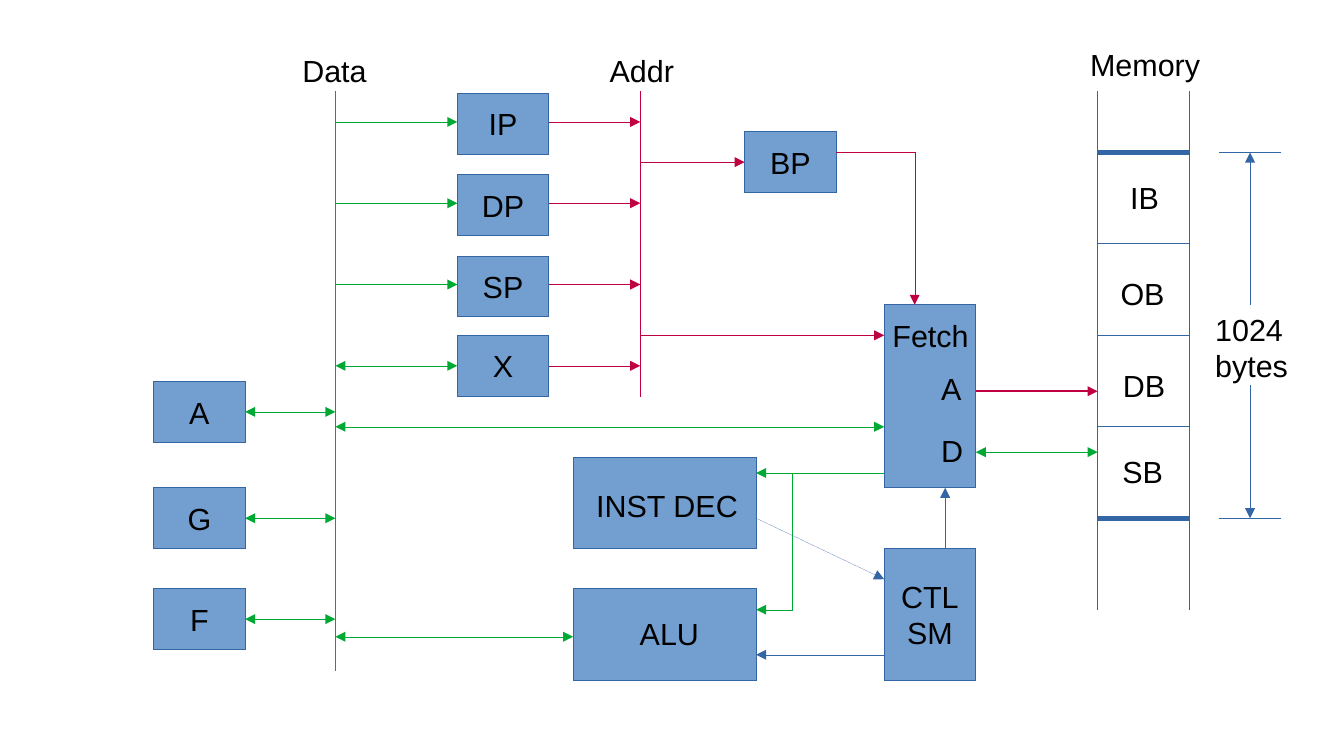
from pptx import Presentation
from pptx import util as u
from pptx.dml.color import RGBColor
from pptx.enum import shapes, text
from pptx.oxml.ns import qn
from lxml import etree

BLUE, GREEN, RED = "3465A4", "00A933", "BF0041"
FILL, BLACK = "729FCF", "000000"
DATA_X, ADDR_X = 198, 378
MEMORY_LEFT, MEMORY_RIGHT = 648, 702
FETCH_LEFT, FETCH_RIGHT = 522, 576
UNIT_LEFT, UNIT_RIGHT = 338.4, 446.4
REGISTER_WIDTH, REGISTER_HEIGHT = 54, 36


def color(hex_code):
    return RGBColor.from_string(hex_code)


def write(shape, words, align):
    shape.text_frame.text = words
    for para in shape.text_frame.paragraphs:
        para.alignment = align
        para.font.name = "Arial"
        para.font.size = u.Pt(18)
        para.font.color.rgb = color(BLACK)


def set_outline(shape, hex_code, width=0):
    """Set the line without the theme style, which would thicken a hairline."""
    shape.line.color.rgb = color(hex_code)
    shape.line.width = u.Pt(width)
    shape._element.remove(shape._element.find(qn("p:style")))


def add_box(page, left, top, width, height, words=""):
    box = page.shapes.add_shape(shapes.MSO_SHAPE.RECTANGLE, u.Pt(left), u.Pt(top),
                                u.Pt(width), u.Pt(height))
    box.shadow.inherit = False
    box.fill.solid()
    box.fill.fore_color.rgb = color(FILL)
    set_outline(box, BLUE)
    if words:
        box.text_frame.vertical_anchor = text.MSO_ANCHOR.MIDDLE
        write(box, words, text.PP_ALIGN.CENTER)


def add_register(page, left, top, name):
    add_box(page, left, top, REGISTER_WIDTH, REGISTER_HEIGHT, name)


def add_label(page, left, top, width, words, height=27.4):
    label = page.shapes.add_textbox(u.Pt(left), u.Pt(top), u.Pt(width), u.Pt(height))
    label.text_frame.word_wrap = False
    label.text_frame.auto_size = text.MSO_AUTO_SIZE.SHAPE_TO_FIT_TEXT
    write(label, words, text.PP_ALIGN.LEFT)


def add_line(page, x1, y1, x2, y2, hex_code, width=0, ends=()):
    """Draw a straight line; ends holds "headEnd" (start) and/or "tailEnd" (finish)."""
    line = page.shapes.add_connector(shapes.MSO_CONNECTOR.STRAIGHT, u.Pt(x1), u.Pt(y1),
                                     u.Pt(x2), u.Pt(y2))
    set_outline(line, hex_code, width)
    properties = line._element.spPr
    for end in ends:
        etree.SubElement(properties.find(qn("a:ln")), qn(f"a:{end}"), type="triangle")
    etree.SubElement(properties, qn("a:effectLst"))


def add_arrow(page, x1, y1, x2, y2, hex_code, width=0):
    add_line(page, x1, y1, x2, y2, hex_code, width, ["tailEnd"])


def add_double_arrow(page, x1, x2, y):
    add_line(page, x1, y, x2, y, GREEN, ends=["headEnd", "tailEnd"])


def draw_memory(page):
    for x in (MEMORY_LEFT, MEMORY_RIGHT):
        add_line(page, x, 54, x, 360, BLUE)
    edges = range(90, 307, 54)
    for y in edges:
        add_line(page, MEMORY_LEFT, y, MEMORY_RIGHT, y, BLUE,
                 2.89 if y in (edges[0], edges[-1]) else 0)
    for left, top, width, name in ((660.2, 102.2, 33, "IB"), (654.5, 159.1, 42, "OB"),
                                   (655.9, 213.1, 41, "DB"), (655.5, 264.2, 40, "SB")):
        add_label(page, left, top, width, name)
    add_label(page, 636.5, 23.8, 80, "Memory")

    for start, end in ((180, edges[0]), (227.5, edges[-1])):
        add_line(page, 720, end, 756, end, BLUE)
        add_arrow(page, 738, start, 738, end, BLUE)
    add_label(page, 710.3, 180, 58, "1024\nbytes", 47.5)


def draw_registers(page):
    add_line(page, DATA_X, 54, DATA_X, 396, GREEN)
    add_line(page, ADDR_X, 54, ADDR_X, 234, RED)
    add_label(page, 171.4, 27.4, 53, "Data")
    add_label(page, 352.8, 27.4, 53, "Addr")

    pointer_left = 270
    for row, (name, top) in enumerate((("IP", 55), ("DP", 103), ("SP", 151.2), ("X", 198))):
        y = 72 + 48 * row
        add_register(page, pointer_left, top, name)
        add_arrow(page, pointer_left + REGISTER_WIDTH, y, ADDR_X, y, RED)
        if name == "X":
            add_double_arrow(page, DATA_X, pointer_left, y)
        else:
            add_arrow(page, DATA_X, y, pointer_left, y, GREEN)

    data_left = 90.72
    for name, top in (("A", 225.2), ("G", 288), ("F", 347.6)):
        add_register(page, data_left, top, name)
        add_double_arrow(page, data_left + REGISTER_WIDTH, DATA_X, top + REGISTER_HEIGHT / 2)


def draw_fetch(page):
    add_box(page, FETCH_LEFT, 180, 54, 108)
    add_label(page, 519.8, 183.6, 62, "Fetch")
    add_label(page, 548.6, 215, 27, "A")
    add_label(page, 548.6, 251.8, 28, "D")
    add_arrow(page, FETCH_RIGHT, 231, MEMORY_LEFT, 231, RED, 1.45)
    add_double_arrow(page, FETCH_RIGHT, MEMORY_LEFT, 267)
    add_double_arrow(page, DATA_X, FETCH_LEFT, 252)
    add_arrow(page, ADDR_X, 198, FETCH_LEFT, 198, RED)

    base_left = 439.6
    add_register(page, base_left, 77.7, "BP")
    add_arrow(page, ADDR_X, 95.7, base_left, 95.7, RED)
    add_line(page, base_left + REGISTER_WIDTH, 90, 540, 90, RED)
    add_arrow(page, 540, 90, 540, 180, RED)


def draw_control(page):
    add_box(page, FETCH_LEFT, 324, 54, 77.6, "CTL\nSM")
    for top in (270, 347.6):
        add_box(page, UNIT_LEFT, top, UNIT_RIGHT - UNIT_LEFT, 54)
    add_label(page, 344.9, 284, 99, "INST DEC")
    add_label(page, 370.6, 359.6, 52, "ALU")
    add_double_arrow(page, DATA_X, UNIT_LEFT, 376)
    add_arrow(page, FETCH_LEFT, 279.3, UNIT_RIGHT, 279.3, GREEN)
    add_line(page, 468, 279.3, 468, 360, GREEN)
    add_arrow(page, 468, 360, UNIT_RIGHT, 360, GREEN)
    add_arrow(page, UNIT_RIGHT, 306, FETCH_LEFT, 342, BLUE)
    add_arrow(page, FETCH_LEFT, 386.6, UNIT_RIGHT, 386.6, BLUE)
    add_arrow(page, 558, 324, 558, 288, BLUE)


def main():
    deck = Presentation()
    deck.slide_width, deck.slide_height = u.Pt(793.44), u.Pt(446.4)
    page = deck.slides.add_slide(deck.slide_layouts[6])
    draw_memory(page)
    draw_registers(page)
    draw_fetch(page)
    draw_control(page)
    deck.save("out.pptx")


if __name__ == "__main__":
    main()
